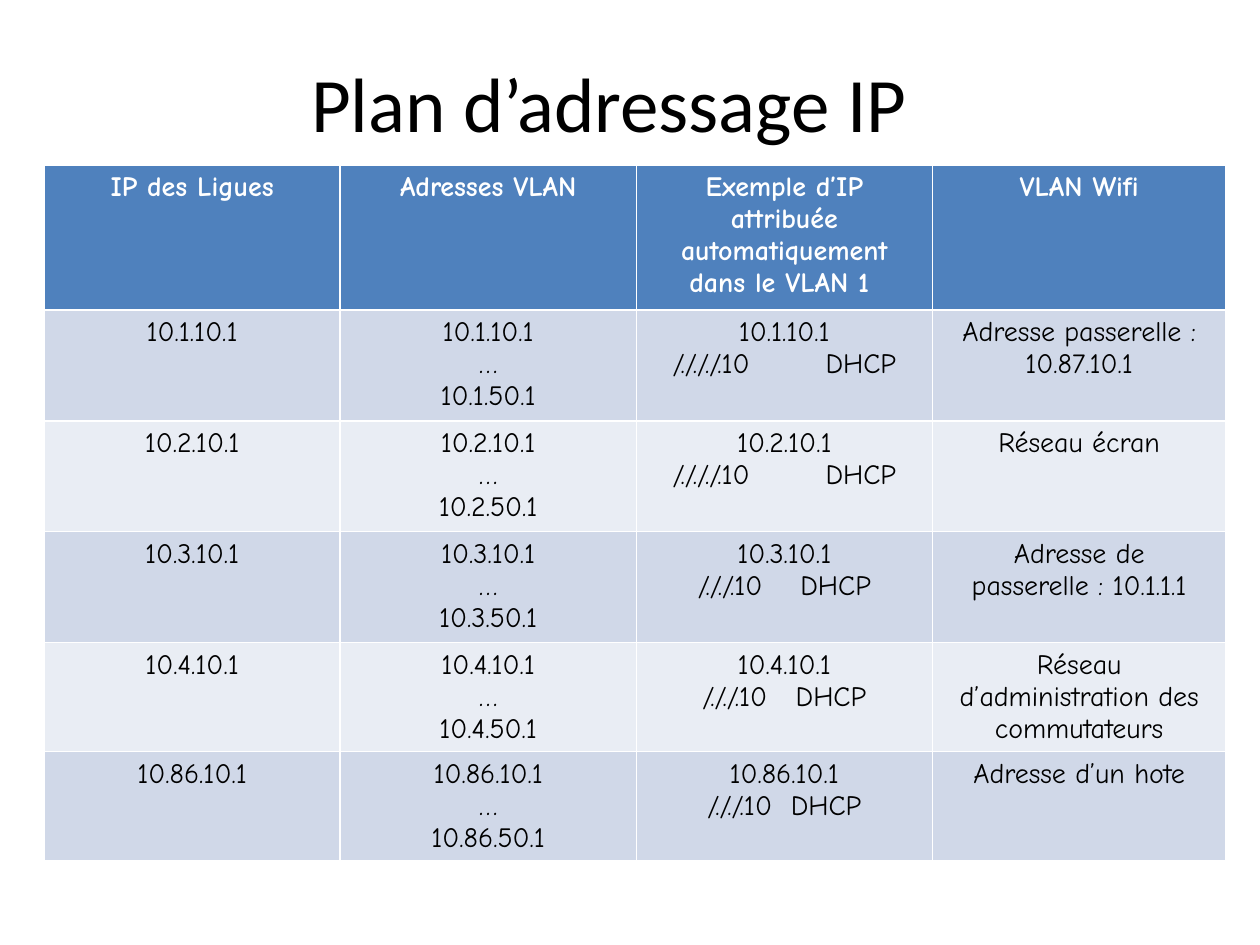
from dataclasses import dataclass

import pptx
import pptx.dml.color
import pptx.enum.text
import pptx.util

Inches = pptx.util.Inches
Pt = pptx.util.Pt

HEADER_FILL = "4F81BD"
BAND_FILLS = ("D0D8E8", "E9EDF4")
GAP = "\t"  # marks where the widened space goes in a line


@dataclass
class League:
    network: str
    host: str
    gap: float  # extra width before DHCP, in points
    wifi: str

    def cells(self) -> list[str]:
        first = f"{self.network}.10.1"
        return [
            first,
            f"{first}\n…\n{self.network}.50.1",
            f"{first}\n{self.host}{GAP}DHCP",
            self.wifi,
        ]


HEADINGS = [
    "IP des Ligues",
    "Adresses VLAN",
    "Exemple d’IP attribuée automatiquement dans le VLAN 1 ",
    "VLAN Wifi",
]
LEAGUES = [
    League("10.1", "/./././.10", 38, "Adresse passerelle : 10.87.10.1"),
    League("10.2", "/./././.10", 38, "Réseau écran"),
    League("10.3", "/././.10", 16.3, "Adresse de passerelle : 10.1.1.1"),
    League("10.4", "/././.10", 10.9, "Réseau d’administration des commutateurs"),
    League("10.86", "/././.10", 5.4, "Adresse d’un hote"),
]
COLUMN_WIDTHS = (2.35, 2.35, 2.35, 2.33)
ROW_HEIGHTS = (1.15, 0.88, 0.88, 0.88, 0.85, 0.85)


def color(value: str) -> pptx.dml.color.RGBColor:
    return pptx.dml.color.RGBColor.from_string(value)


def style(paragraph, font_name: str, size: float, ink: str, bold: bool = False) -> None:
    paragraph.alignment = pptx.enum.text.PP_ALIGN.CENTER
    paragraph.font.name = font_name
    paragraph.font.size = Pt(size)
    paragraph.font.bold = bold
    paragraph.font.color.rgb = color(ink)


def write_line(paragraph, line: str, gap: float) -> None:
    before, mark, after = line.partition(GAP)
    paragraph.add_run().text = before
    if mark:
        # One space, widened by character spacing
        space = paragraph.add_run()
        space.text = " "
        space.font._element.set("spc", str(round(gap * 100)))
        paragraph.add_run().text = after


def fill_cell(cell, text: str, fill: str, ink: str, bold: bool, gap: float = 0) -> None:
    cell.fill.solid()
    cell.fill.fore_color.rgb = color(fill)
    frame = cell.text_frame
    for index, line in enumerate(text.split("\n")):
        paragraph = frame.add_paragraph() if index else frame.paragraphs[0]
        style(paragraph, "Comic Neue", 16, ink, bold)
        write_line(paragraph, line, gap)


presentation = pptx.Presentation()
presentation.slide_width = Inches(10)
presentation.slide_height = Inches(7.5)
slide = presentation.slides.add_slide(presentation.slide_layouts[5])

# Title
title = slide.shapes.title
title.left, title.top = Inches(0.5), Inches(0.3)
title.width, title.height = Inches(8.67), Inches(1.01)
title.text_frame.text = "Plan d’adressage IP"
title.text_frame.vertical_anchor = pptx.enum.text.MSO_ANCHOR.MIDDLE
style(title.text_frame.paragraphs[0], "Calibri", 44, "000000")

# Address table: the default table style supplies the white rules
plan = slide.shapes.add_table(
    len(ROW_HEIGHTS), len(COLUMN_WIDTHS),
    Inches(0.35), Inches(1.31),
    Inches(sum(COLUMN_WIDTHS)), Inches(sum(ROW_HEIGHTS)),
).table
for column, width in zip(plan.columns, COLUMN_WIDTHS):
    column.width = Inches(width)
for row, height in zip(plan.rows, ROW_HEIGHTS):
    row.height = Inches(height)

for col, heading in enumerate(HEADINGS):
    fill_cell(plan.cell(0, col), heading, HEADER_FILL, "FFFFFF", True)
for index, league in enumerate(LEAGUES):
    for col, text in enumerate(league.cells()):
        fill_cell(plan.cell(index + 1, col), text, BAND_FILLS[index % 2],
                  "000000", False, league.gap)

presentation.save("out.pptx")
